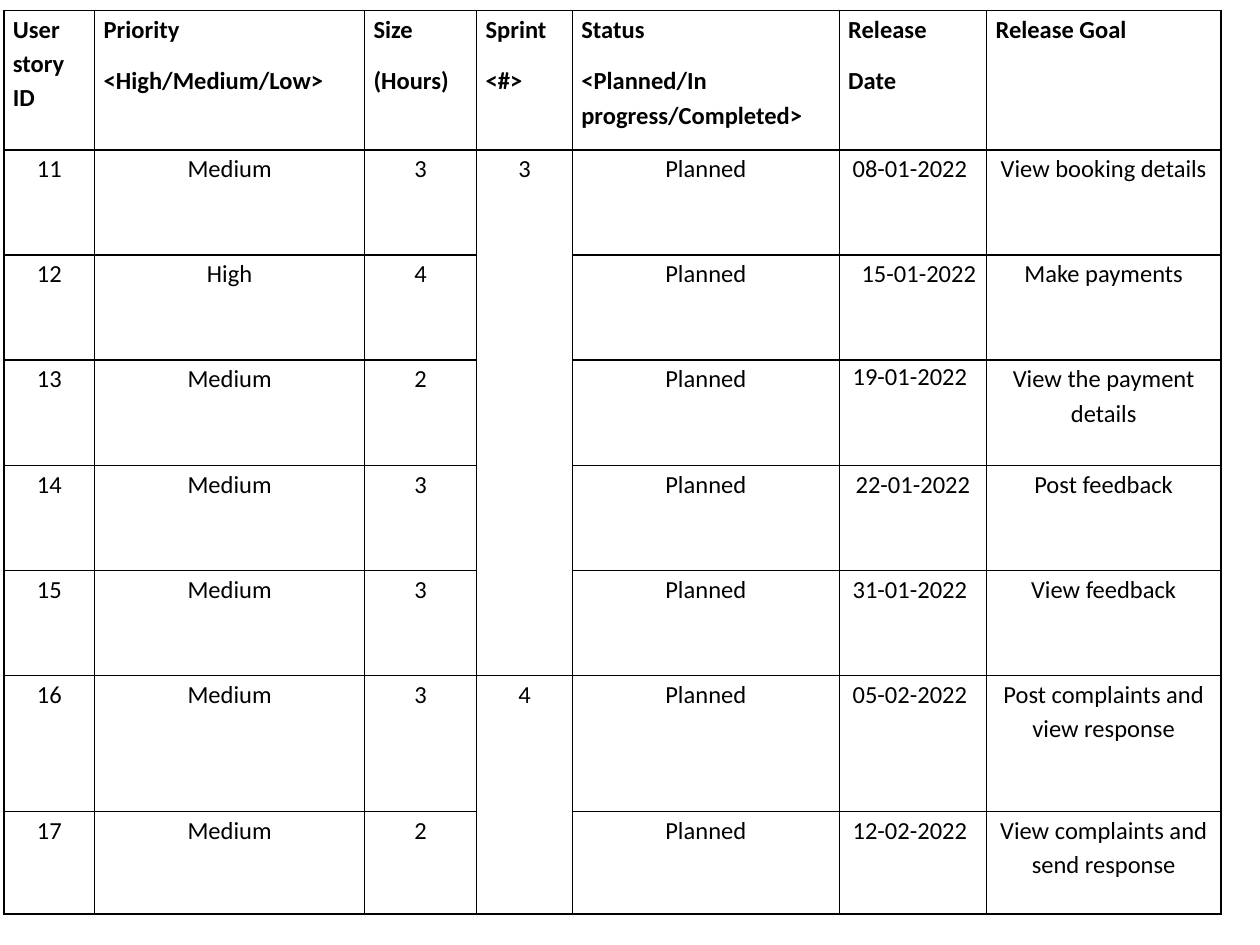
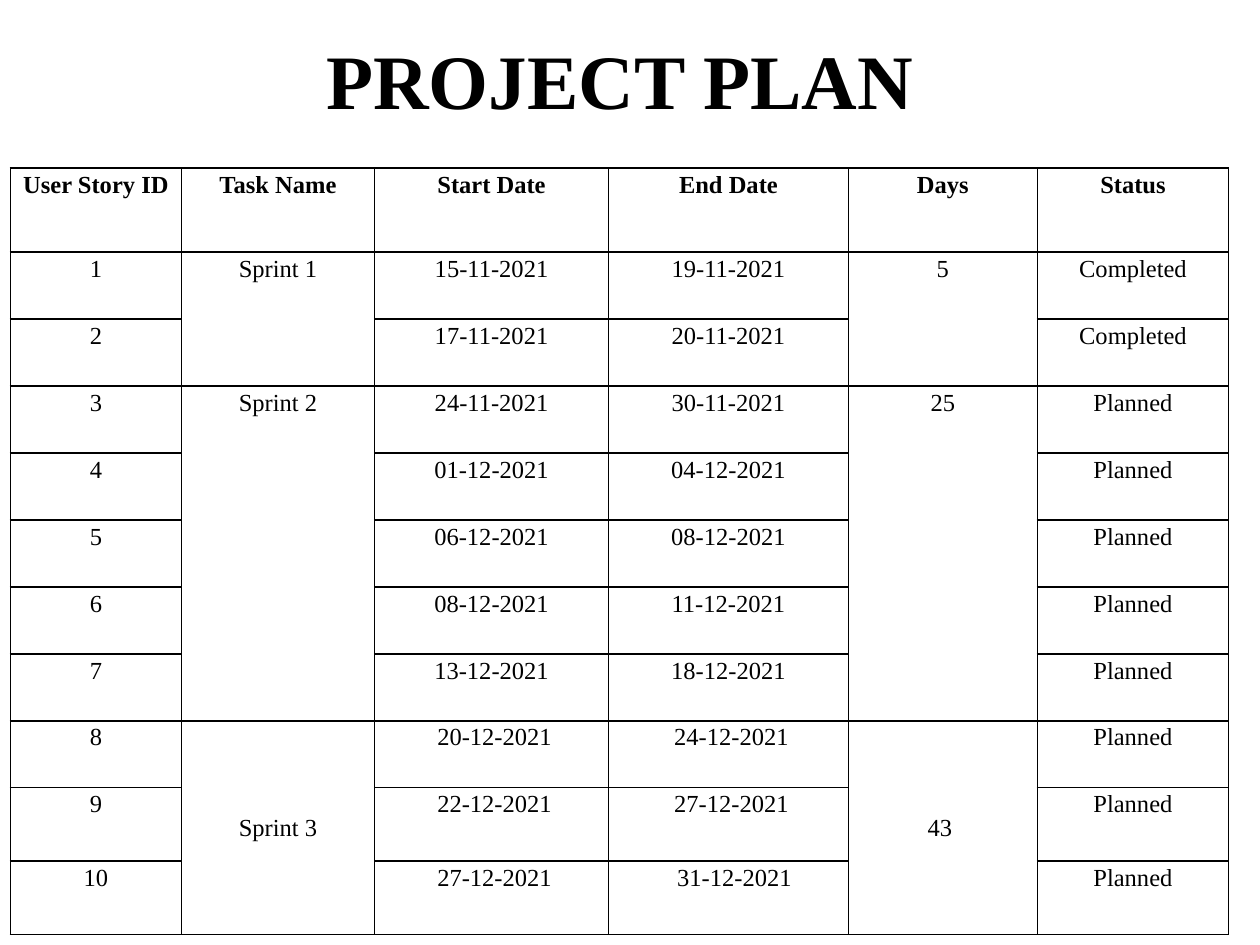
from dataclasses import dataclass
from itertools import takewhile
from typing import NamedTuple

from lxml.etree import SubElement
from pptx import Presentation
from pptx.dml.color import RGBColor as Color
from pptx.enum.text import MSO_ANCHOR as Anchor, PP_ALIGN as Align
from pptx.oxml.ns import qn
from pptx.util import Cm, Pt

COLORS = {"ink": "000000", "paper": "FFFFFF"}
NUDGE = 0.12


class Entry(NamedTuple):
    text: str
    shift: int = 0
    middle: bool = False
    lead: float | None = None


@dataclass
class Grid:
    left: float
    top: float
    cols: list[float]
    rows: list[float]
    font: str
    head: Align
    lead: float
    after: float
    pad: float
    cap: float
    cells: list[list[Entry | str | None]]


def style(para, font: str, size: float, bold: bool, align: Align) -> None:
    para.alignment = align
    para.font.name = font
    para.font.size = Pt(size)
    para.font.bold = bold
    para.font.color.rgb = Color.from_string(COLORS["ink"])


def frame(cell) -> None:
    cell.fill.background()
    props = cell._tc.get_or_add_tcPr()
    for spot, side in enumerate("LRTB"):
        line = SubElement(props, qn(f"a:ln{side}"), w=str(Pt(1)))
        fill = SubElement(line, qn("a:solidFill"))
        SubElement(fill, qn("a:srgbClr"), val=COLORS["ink"])
        props.insert(spot, line)


def write(cell, entry: Entry, grid: Grid, head: bool) -> None:
    pad = 0 if entry.middle else grid.pad
    cell.margin_left = Cm(pad + NUDGE * max(entry.shift, 0))
    cell.margin_right = Cm(pad + NUDGE * max(-entry.shift, 0))
    cell.margin_top = Cm(0 if entry.middle else grid.cap)
    cell.margin_bottom = Cm(0)
    cell.vertical_anchor = Anchor.MIDDLE if entry.middle else Anchor.TOP
    cell.text = entry.text
    for para in cell.text_frame.paragraphs:
        style(para, grid.font, 14, head, grid.head if head else Align.CENTER)
        para.line_spacing = entry.lead or grid.lead
        para.space_after = Pt(grid.after)


def draw(slide, grid: Grid) -> None:
    shape = slide.shapes.add_table(
        len(grid.rows), len(grid.cols), Cm(grid.left), Cm(grid.top),
        Cm(sum(grid.cols)), Cm(sum(grid.rows)))
    table = shape.table
    table.first_row = table.horz_banding = False
    for col, width in zip(table.columns, grid.cols):
        col.width = Cm(width)
    for row, height in zip(table.rows, grid.rows):
        row.height = Cm(height)
    for y, line in enumerate(grid.cells):
        for x, item in enumerate(line):
            cell = table.cell(y, x)
            frame(cell)
            if item is None:
                continue
            entry = item if isinstance(item, Entry) else Entry(item)
            write(cell, entry, grid, y == 0)
            below = takewhile(lambda r: r[x] is None, grid.cells[y + 1:])
            span = len(list(below))
            if span:
                cell.merge(table.cell(y + span, x))


def title(slide, text: str) -> None:
    box = slide.shapes.add_textbox(Cm(1.07), Cm(0), Cm(22.86), Cm(3.18))
    body = box.text_frame
    body.word_wrap = True
    body.vertical_anchor = Anchor.MIDDLE
    body.text = text
    style(body.paragraphs[0], "Times New Roman", 44, True, Align.CENTER)


def add(deck):
    slide = deck.slides.add_slide(deck.slide_layouts[6])
    slide.background.fill.solid()
    slide.background.fill.fore_color.rgb = Color.from_string(COLORS["paper"])
    return slide


BACKLOG = Grid(
    left=0.08, top=0.21,
    cols=[1.83, 5.44, 2.26, 1.93, 5.38, 2.97, 4.72],
    rows=[2.81] + [2.12] * 5 + [2.74, 2.07],
    font="Calibri", head=Align.LEFT, lead=1.15, after=10, pad=0.18, cap=0,
    cells=[
        ["User story ID", "Priority\n<High/Medium/Low>", "Size\n(Hours)",
         "Sprint\n<#>", "Status\n<Planned/In progress/Completed>",
         "Release\nDate", "Release Goal"],
        ["11", "Medium", "3", "3", "Planned",
         Entry("08-01-2022", -1), "View booking details"],
        ["12", "High", "4", None, "Planned",
         Entry("15-01-2022", 2), "Make payments"],
        ["13", "Medium", "2", None, "Planned",
         Entry("19-01-2022", -1, lead=1.07), "View the payment details"],
        ["14", "Medium", "3", None, "Planned",
         "22-01-2022", "Post feedback"],
        ["15", "Medium", "3", None, "Planned",
         Entry("31-01-2022", -1), "View feedback"],
        ["16", "Medium", "3", "4", "Planned",
         Entry("05-02-2022", -1), "Post complaints and view response"],
        ["17", "Medium", "2", None, "Planned",
         Entry("12-02-2022", -1), "View complaints and send response"],
    ])

PLAN = Grid(
    left=0.21, top=3.39,
    cols=[3.45, 3.89, 4.72, 4.83, 3.81, 3.86],
    rows=[1.69] + [1.35] * 8 + [1.48] * 2,
    font="Times New Roman", head=Align.CENTER, lead=1.07, after=8,
    pad=0.13, cap=0.03,
    cells=[
        ["User Story ID", "Task Name", "Start Date", "End Date", "Days",
         "Status"],
        ["1", "Sprint 1", "15-11-2021", "19-11-2021", "5", "Completed"],
        ["2", None, "17-11-2021", "20-11-2021", None, "Completed"],
        ["3", "Sprint 2", "24-11-2021", "30-11-2021", "25", "Planned"],
        ["4", None, "01-12-2021", "04-12-2021", None, "Planned"],
        ["5", None, "06-12-2021", "08-12-2021", None, "Planned"],
        ["6", None, "08-12-2021", "11-12-2021", None, "Planned"],
        ["7", None, "13-12-2021", "18-12-2021", None, "Planned"],
        ["8", Entry("Sprint 3", middle=True), Entry("20-12-2021", 1),
         Entry("24-12-2021", 1), Entry("43", -1, True), "Planned"],
        ["9", None, Entry("22-12-2021", 1), Entry("27-12-2021", 1), None,
         "Planned"],
        ["10", None, Entry("27-12-2021", 1), Entry("31-12-2021", 2), None,
         "Planned"],
    ])


def main() -> None:
    deck = Presentation()
    deck.slide_width, deck.slide_height = Cm(25.4), Cm(19.05)
    draw(add(deck), BACKLOG)
    slide = add(deck)
    title(slide, "PROJECT PLAN")
    draw(slide, PLAN)
    deck.save("out.pptx")


main()
